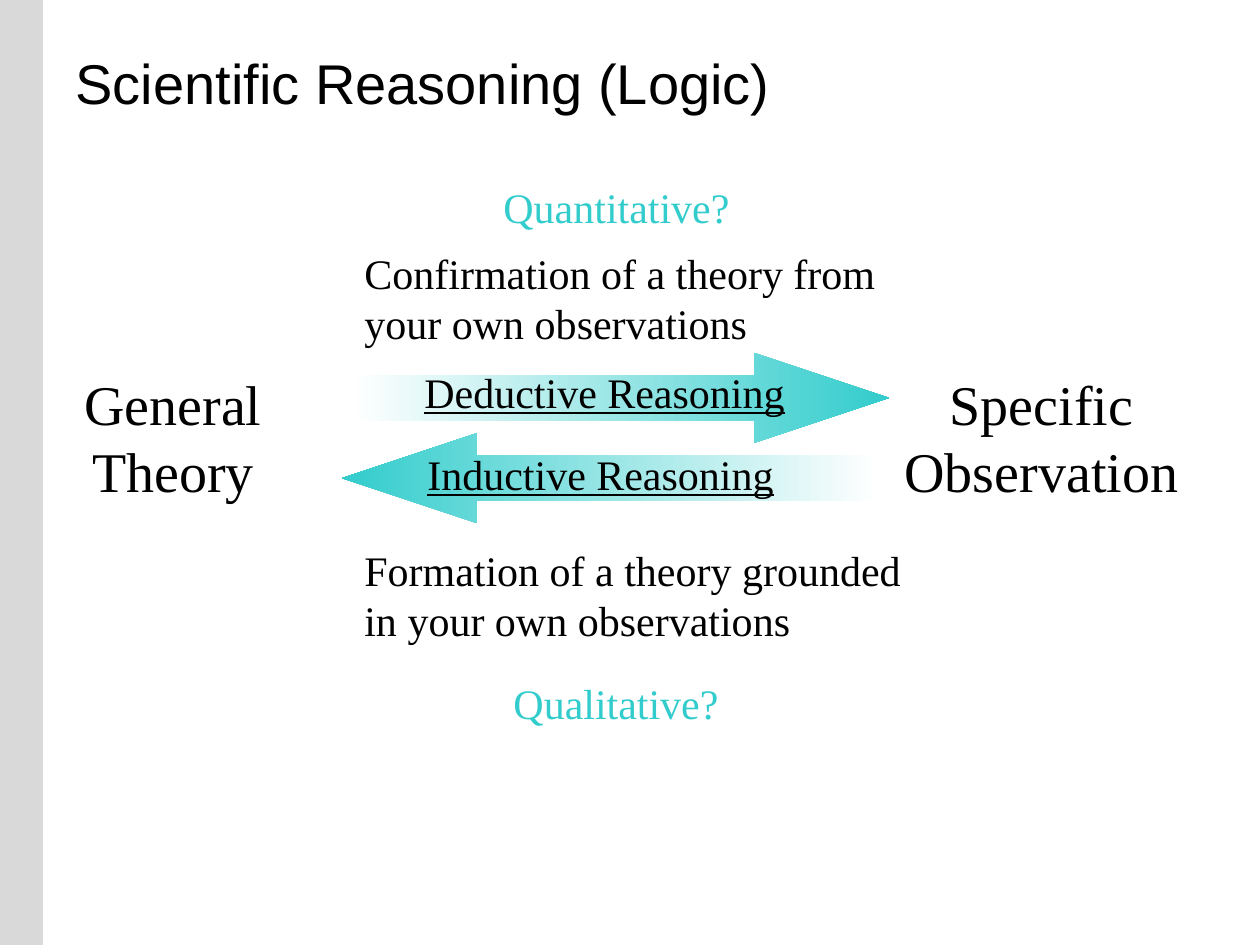
from dataclasses import dataclass

from pptx import Presentation
from pptx.dml.color import RGBColor
from pptx.enum.shapes import MSO_SHAPE
from pptx.enum.text import MSO_ANCHOR, MSO_AUTO_SIZE, PP_ALIGN
from pptx.shapes.autoshape import Shape
from pptx.shapes.shapetree import GroupShapes, SlideShapes
from pptx.text.text import TextFrame
from pptx.util import Emu, Pt

RECTANGLE = MSO_SHAPE.RECTANGLE
RIGHT_ARROW = MSO_SHAPE.RIGHT_ARROW
TOP = MSO_ANCHOR.TOP
FIT_SHAPE = MSO_AUTO_SIZE.SHAPE_TO_FIT_TEXT
NO_AUTOSIZE = MSO_AUTO_SIZE.NONE
LEFT = PP_ALIGN.LEFT
CENTER = PP_ALIGN.CENTER

EMU_PER_PX = 914400 / 126
BLACK = "000000"
WHITE = "FFFFFF"
TEAL = "33CCCC"
GREY = "D9D9D9"
SERIF = "Times New Roman"
SANS = "Arial"


@dataclass(frozen=True)
class Box:
    left: int
    top: int
    width: int
    height: int

    def emu(self) -> tuple[Emu, ...]:
        return tuple(px(n) for n in (self.left, self.top, self.width, self.height))


@dataclass(frozen=True)
class Label:
    text: str
    box: Box
    size: int = 24
    color: str = BLACK
    align: PP_ALIGN = LEFT
    underline: bool = False


@dataclass(frozen=True)
class Reasoning:
    arrow: Box
    rotation: int
    label: Label


LABELS = [
    Label("General Theory", Box(64, 363, 218, 147), size=32, align=CENTER),
    Label("Specific Observation", Box(888, 363, 307, 147), size=32, align=CENTER),
    Label("Formation of a theory grounded in your own observations", Box(352, 538, 566, 113)),
    Label("Confirmation of a theory from your own observations", Box(352, 241, 576, 113)),
    Label("Quantitative?", Box(491, 175, 258, 63), color=TEAL),
    Label("Qualitative?", Box(501, 671, 258, 63), color=TEAL),
]

REASONINGS = [
    Reasoning(
        Box(342, 433, 536, 90), 180,
        Label("Inductive Reasoning", Box(415, 442, 387, 63), underline=True),
    ),
    Reasoning(
        Box(353, 353, 536, 90), 0,
        Label("Deductive Reasoning", Box(412, 360, 387, 63), underline=True),
    ),
]


def px(length: int) -> Emu:
    return Emu(round(length * EMU_PER_PX))


def rgb(color: str) -> RGBColor:
    return RGBColor.from_string(color)


def write(frame: TextFrame, text: str, *, font: str = SERIF, size: int = 24,
          color: str = BLACK, align: PP_ALIGN = LEFT, underline: bool = False) -> None:
    frame.word_wrap = True
    frame.vertical_anchor = TOP
    paragraph = frame.paragraphs[0]
    paragraph.alignment = align
    run = paragraph.add_run()
    run.text = text
    run.font.name = font
    run.font.size = Pt(size)
    run.font.color.rgb = rgb(color)
    run.font.underline = underline


def add_label(shapes: SlideShapes | GroupShapes, label: Label) -> None:
    frame = shapes.add_textbox(*label.box.emu()).text_frame
    write(frame, label.text, size=label.size, color=label.color,
          align=label.align, underline=label.underline)
    frame.auto_size = FIT_SHAPE


def add_plain_shape(shapes: SlideShapes | GroupShapes, kind: MSO_SHAPE, box: Box) -> Shape:
    shape = shapes.add_shape(kind, *box.emu())
    shape.shadow.inherit = False
    shape.line.fill.background()
    return shape


def add_reasoning(shapes: SlideShapes, reasoning: Reasoning) -> None:
    members = shapes.add_group_shape().shapes
    arrow = add_plain_shape(members, RIGHT_ARROW, reasoning.arrow)
    arrow.adjustments[0] = 0.5
    arrow.adjustments[1] = 1.5
    arrow.rotation = reasoning.rotation
    arrow.fill.gradient()
    arrow.fill.gradient_angle = 0
    for stop, position, color in zip(arrow.fill.gradient_stops, (0, 1), (WHITE, TEAL)):
        stop.position = position
        stop.color.rgb = rgb(color)
    add_label(members, reasoning.label)


def main() -> None:
    presentation = Presentation()
    presentation.slide_width = px(1260)
    presentation.slide_height = px(945)
    slide = presentation.slides.add_slide(presentation.slide_layouts[5])
    shapes = slide.shapes

    side_band = add_plain_shape(shapes, RECTANGLE, Box(0, 0, 43, 945))
    side_band.fill.solid()
    side_band.fill.fore_color.rgb = rgb(GREY)

    title = shapes.title
    title.left, title.top, title.width, title.height = Box(63, 42, 1155, 157).emu()
    write(title.text_frame, "Scientific Reasoning (Logic)", font=SANS, size=32)
    title.text_frame.auto_size = NO_AUTOSIZE

    for label in LABELS[:2]:
        add_label(shapes, label)
    for reasoning in REASONINGS:
        add_reasoning(shapes, reasoning)
    for label in LABELS[2:]:
        add_label(shapes, label)

    presentation.save("out.pptx")


if __name__ == "__main__":
    main()
